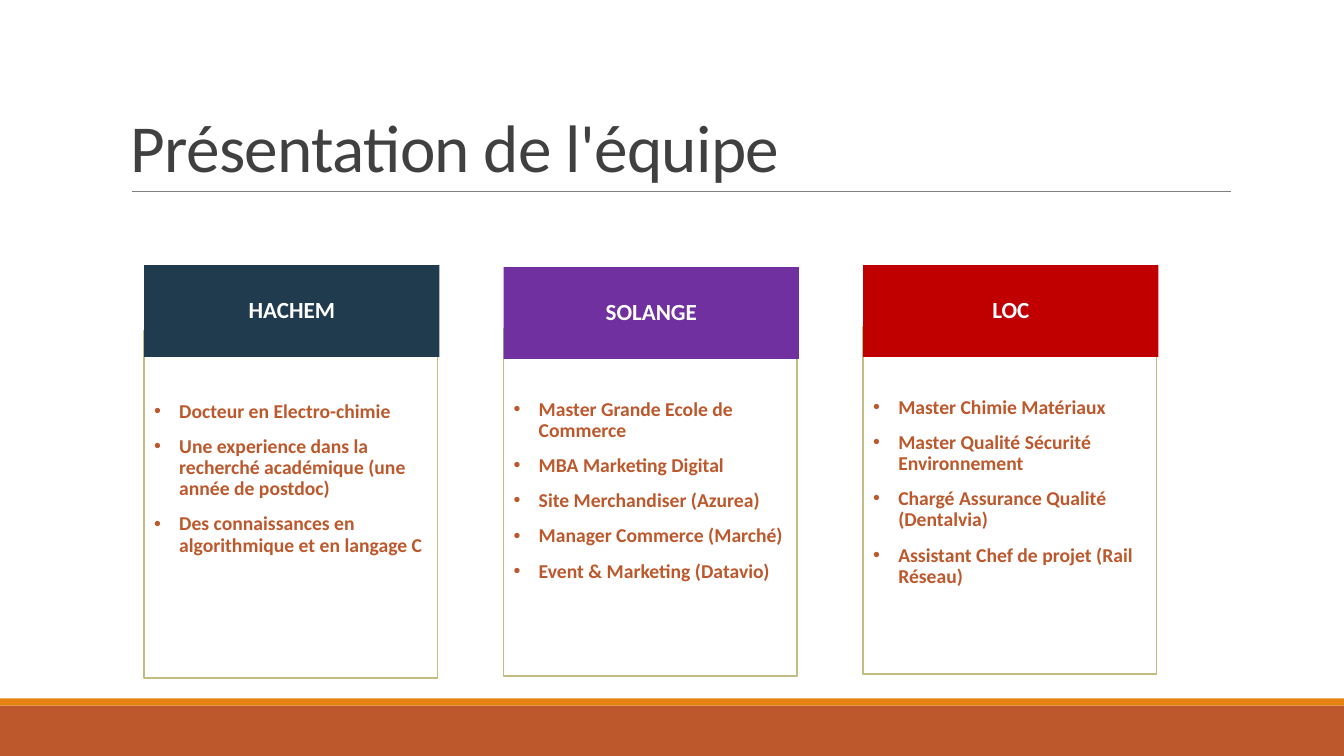
from lxml import etree
from pptx import Presentation, util as u
from pptx.dml.color import RGBColor
from pptx.enum import shapes, text
from pptx.oxml.ns import qn

COLORS = {
    "rust": "BD582C", "orange": "E48312", "gray": "808080", "title": "404040",
    "white": "FFFFFF", "olive": "C2BC80",
    "navy": "203A4E", "purple": "7030A0", "red": "C00000",
}
COLUMNS, ROWS = 40, 30

# name, header color, header row, body row, qualifications
TEAM = [
    ("HACHEM", "navy", 10.52, 13.12, [
        "Docteur en Electro-chimie",
        "Une experience dans la recherché académique (une année de postdoc)",
        "Des connaissances en algorithmique et en langage C",
    ]),
    ("SOLANGE", "purple", 10.6, 13.04, [
        "Master Grande Ecole de Commerce",
        "MBA Marketing Digital",
        "Site Merchandiser (Azurea)",
        "Manager Commerce (Marché)",
        "Event & Marketing (Datavio)",
    ]),
    ("LOC", "red", 10.52, 12.96, [
        "Master Chimie Matériaux",
        "Master Qualité Sécurité Environnement",
        "Chargé Assurance Qualité (Dentalvia)",
        "Assistant Chef de projet (Rail Réseau)",
    ]),
]


class TeamSlide:
    font_name = "Calibri"

    def __init__(self, presentation):
        self.slide = presentation.slides.add_slide(presentation.slide_layouts[6])
        self.column = presentation.slide_width / COLUMNS
        self.row = presentation.slide_height / ROWS

    def place(self, left, top, width, height):
        """Turn grid columns and rows into slide lengths."""
        return (round(left * self.column), round(top * self.row),
                round(width * self.column), round(height * self.row))

    def style(self, paragraph, size, color, bold=False, spacing=0.9):
        paragraph.line_spacing = spacing
        font = paragraph.font
        font.name, font.size, font.bold = self.font_name, u.Pt(size), bold
        font.color.rgb = RGBColor.from_string(COLORS[color])

    def rectangle(self, area, fill, line=None):
        shape = self.slide.shapes.add_shape(
            shapes.MSO_SHAPE.RECTANGLE, *self.place(*area))
        shape.shadow.inherit = False
        shape.fill.solid()
        shape.fill.fore_color.rgb = RGBColor.from_string(COLORS[fill])
        if line:
            shape.line.color.rgb = RGBColor.from_string(COLORS[line])
            shape.line.width = u.Pt(1.25)
        else:
            shape.line.fill.background()
        return shape

    def rule(self, left, right, row):
        x, y, width, _ = self.place(left, row, right - left, 0)
        line = self.slide.shapes.add_connector(
            shapes.MSO_CONNECTOR.STRAIGHT, x, y, x + width, y)
        line.line.color.rgb = RGBColor.from_string(COLORS["gray"])
        line.line.width = u.Pt(0.5)
        etree.SubElement(line._element.spPr, qn("a:effectLst"))

    def title(self, area, wording):
        frame = self.slide.shapes.add_textbox(*self.place(*area)).text_frame
        frame.word_wrap = True
        frame.vertical_anchor = text.MSO_ANCHOR.BOTTOM
        paragraph = frame.paragraphs[0]
        run = paragraph.add_run()
        run.text = wording
        run.font._element.set("spc", "-50")
        self.style(paragraph, 48, "title", spacing=0.85)

    def header(self, area, name, fill):
        frame = self.rectangle(area, fill).text_frame
        frame.vertical_anchor = text.MSO_ANCHOR.MIDDLE
        paragraph = frame.paragraphs[0]
        paragraph.text = name
        paragraph.alignment = text.PP_ALIGN.CENTER
        self.style(paragraph, 16.5, "white", bold=True)

    def bullet_box(self, area, items):
        frame = self.rectangle(area, "white", "olive").text_frame
        frame.word_wrap = True
        frame.vertical_anchor = text.MSO_ANCHOR.TOP
        frame.margin_top = u.Inches(0.7)
        for index, item in enumerate(items):
            paragraph = frame.add_paragraph() if index else frame.paragraphs[0]
            paragraph.text = item
            paragraph.alignment = text.PP_ALIGN.LEFT
            properties = paragraph._p.get_or_add_pPr()
            properties.set("marL", str(u.Inches(0.25)))
            properties.set("indent", str(u.Inches(-0.25)))
            etree.SubElement(properties, qn("a:buFont"), typeface="Arial")
            etree.SubElement(properties, qn("a:buChar"), char="•")
            if index:
                paragraph.space_before = u.Pt(10)
            self.style(paragraph, 14, "rust", bold=True)


def main():
    presentation = Presentation()
    presentation.slide_width = u.Inches(13.33)
    presentation.slide_height = u.Inches(7.5)
    page = TeamSlide(presentation)

    page.rectangle((0, 28, COLUMNS, 2), "rust")
    page.rectangle((0, 27.72, COLUMNS, 0.28), "orange")
    page.rule(3.93, 36.63, 7.6)
    page.title((3.6, 1.24, 33, 6.36), "Présentation de l'équipe")

    for index, (name, color, header_row, body_row, items) in enumerate(TEAM):
        left = 4.29 + 10.7 * index
        page.bullet_box((left, body_row, 8.73, 13.8), items)
        page.header((left, header_row, 8.79, 3.64), name, color)

    presentation.save("out.pptx")


if __name__ == "__main__":
    main()
